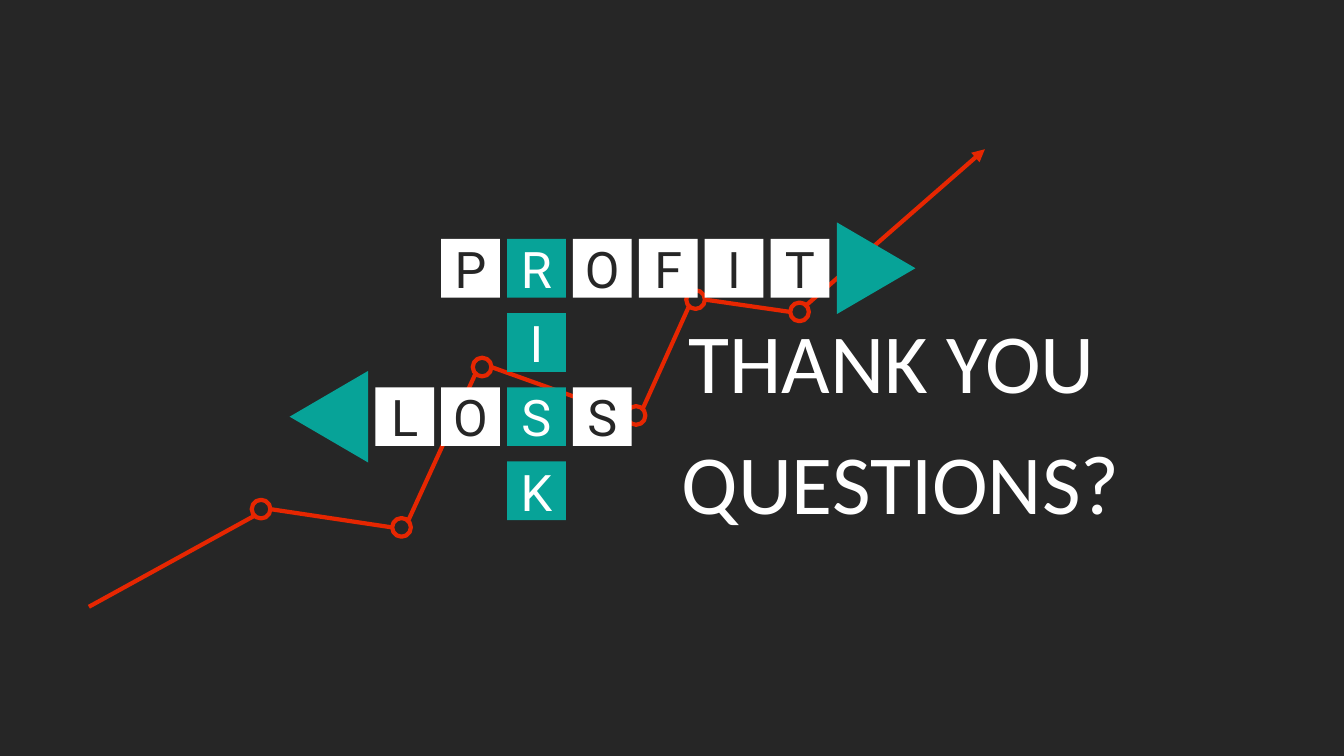
from math import sqrt

from lxml.etree import SubElement
from pptx import Presentation
from pptx.dml.color import RGBColor
from pptx.enum.shapes import MSO_CONNECTOR, MSO_SHAPE
from pptx.enum.text import MSO_ANCHOR, MSO_AUTO_SIZE, PP_ALIGN
from pptx.oxml.ns import qn
from pptx.util import Cm, Pt

DARK = RGBColor(0x26, 0x26, 0x26)
WHITE = RGBColor(0xFF, 0xFF, 0xFF)
TEAL = RGBColor(0x07, 0xA3, 0x98)
RED = RGBColor(0xE6, 0x26, 0x01)

# Trend line: start, turning points (peak, trough, ...) and arrow tip, in cm
START, TIP = (2.24, 15.29), (24.82, 3.76)
TURNS = [(6.58, 12.83), (10.12, 13.29), (12.15, 9.25),
         (16.03, 10.47), (17.53, 7.55), (20.15, 7.86)]
DOT = 0.47

# Crossword grid, in cm
GRID_LEFT, GRID_TOP = 9.46, 6.02
COLUMN_STEP, ROW_STEP, TILE = 1.66, 1.87, 1.48


class TrendSlide:
    heading_font, tile_font = "Calibri", "Roboto"
    heading_size, tile_size, line_width = Pt(60), Pt(36), Pt(3)

    def __init__(self, deck):
        self.page = deck.slides.add_slide(deck.slide_layouts[5])
        background = self.page.background.fill
        background.solid()
        background.fore_color.rgb = DARK

    def set_text(self, frame, text, font, size, color, align):
        frame.text = text
        frame.vertical_anchor = MSO_ANCHOR.MIDDLE
        para = frame.paragraphs[0]
        para.alignment = align
        span = para.runs[0]
        span.font.name, span.font.size = font, size
        span.font.color.rgb = color

    def heading(self, box, text, left, top, width):
        box.left, box.top = Cm(left), Cm(top)
        box.width, box.height = Cm(width), Cm(2.82)
        frame = box.text_frame
        frame.word_wrap = True
        frame.auto_size = MSO_AUTO_SIZE.SHAPE_TO_FIT_TEXT
        self.set_text(frame, text, self.heading_font, self.heading_size,
                      WHITE, PP_ALIGN.LEFT)

    def title(self, text, left, top, width):
        self.heading(self.page.shapes.title, text, left, top, width)

    def text_box(self, text, left, top, width):
        box = self.page.shapes.add_textbox(0, 0, 0, 0)
        self.heading(box, text, left, top, width)

    def solid(self, kind, left, top, width, height, color):
        shape = self.page.shapes.add_shape(
            kind, Cm(left), Cm(top), Cm(width), Cm(height))
        shape.shadow.inherit = False
        shape.fill.solid()
        shape.fill.fore_color.rgb = color
        shape.line.fill.background()
        return shape

    def tile(self, letter, left, top, fill, color):
        frame = self.solid(MSO_SHAPE.RECTANGLE, left, top, TILE, TILE, fill).text_frame
        frame.margin_left = frame.margin_right = 0
        frame.margin_top = frame.margin_bottom = 0
        self.set_text(frame, letter, self.tile_font, self.tile_size,
                      color, PP_ALIGN.CENTER)

    def triangle(self, center_x, center_y, rotation):
        width, height = 2.31, 1.98
        shape = self.solid(MSO_SHAPE.ISOSCELES_TRIANGLE, center_x - width / 2,
                           center_y - height / 2, width, height, TEAL)
        shape.rotation = rotation

    def dot(self, center_x, center_y):
        ring = self.page.shapes.add_shape(
            MSO_SHAPE.OVAL, Cm(center_x - DOT / 2), Cm(center_y - DOT / 2),
            Cm(DOT), Cm(DOT))
        ring.shadow.inherit = False
        ring.fill.background()
        ring.line.color.rgb = RED
        ring.line.width = self.line_width

    def line(self, start, end, arrow=False):
        link = self.page.shapes.add_connector(
            MSO_CONNECTOR.STRAIGHT, *(Cm(value) for value in (*start, *end)))
        link.line.color.rgb = RED
        link.line.width = self.line_width
        properties = link.element.spPr
        if arrow:
            SubElement(properties.find(qn("a:ln")), qn("a:tailEnd"), type="triangle")
        SubElement(properties, qn("a:effectLst"))


def draw_trend(slide):
    # The line meets a peak at lower left and right, a trough at left and upper right
    radius = DOT / 2
    slant = radius / sqrt(2)
    ends = [START]
    for index, (x, y) in enumerate(TURNS):
        slide.dot(x, y)
        if index % 2 == 0:
            ends += [(x - slant, y + slant), (x + radius, y)]
        else:
            ends += [(x - radius, y), (x + slant, y - slant)]
    ends.append(TIP)
    for start, end in zip(ends[::2], ends[1::2]):
        slide.line(start, end, arrow=end == TIP)


def draw_crossword(slide):
    # Words across are white; the word down takes over the shared cells
    cells = {}
    for word, column, row in (("PROFIT", 1, 0), ("LOSS", 0, 2)):
        for step, letter in enumerate(word):
            cells[column + step, row] = (letter, WHITE, DARK)
    for row, letter in enumerate("RISK"):
        cells[2, row] = (letter, TEAL, WHITE)
    for (column, row), (letter, fill, color) in cells.items():
        slide.tile(letter, GRID_LEFT + column * COLUMN_STEP,
                   GRID_TOP + row * ROW_STEP, fill, color)

    # Arrowheads that end the words across
    for center_x, row, rotation in ((22.08, 0, 90), (8.29, 2, 270)):
        slide.triangle(center_x, GRID_TOP + row * ROW_STEP + TILE / 2, rotation)


def main():
    deck = Presentation()
    deck.slide_width, deck.slide_height = Cm(33.87), Cm(19.05)
    slide = TrendSlide(deck)
    draw_trend(slide)
    slide.title("THANK YOU", 17.09, 7.67, 13.26)
    draw_crossword(slide)
    slide.text_box("QUESTIONS?", 16.93, 10.72, 16.93)
    deck.save("out.pptx")


if __name__ == "__main__":
    main()
